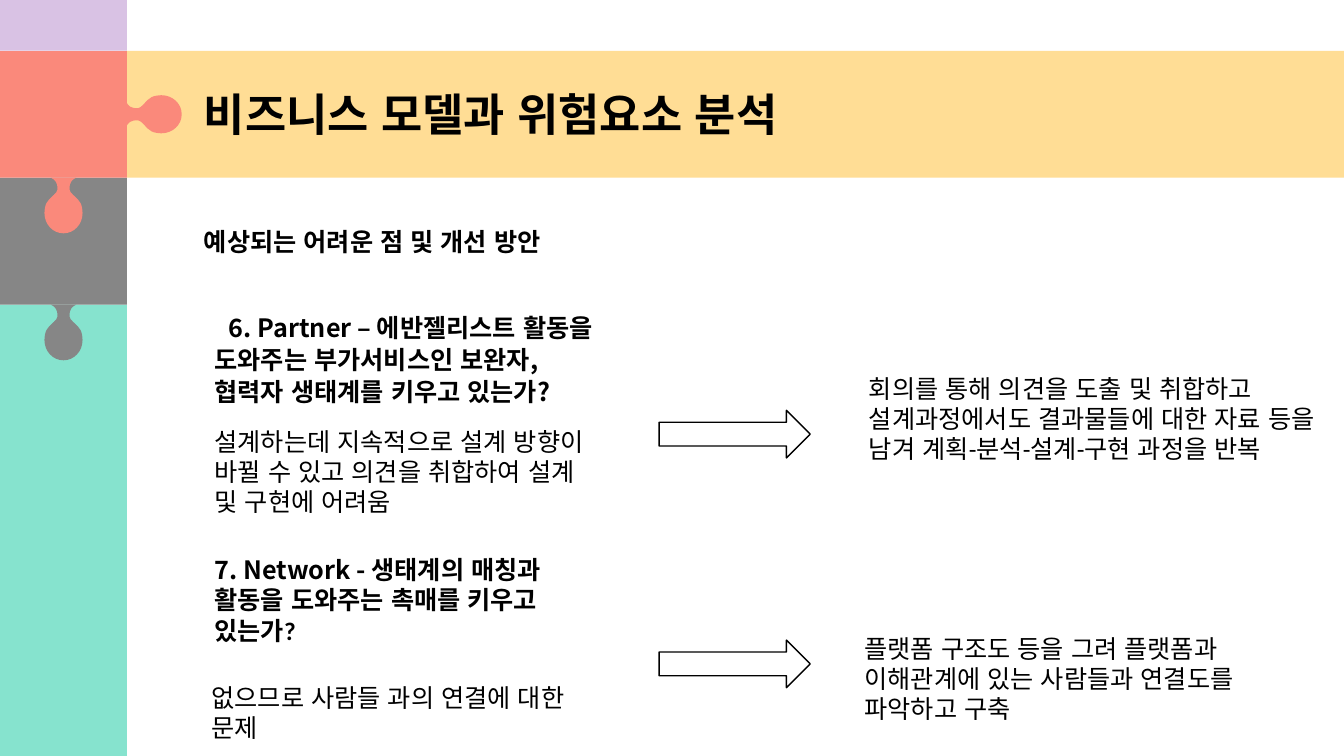
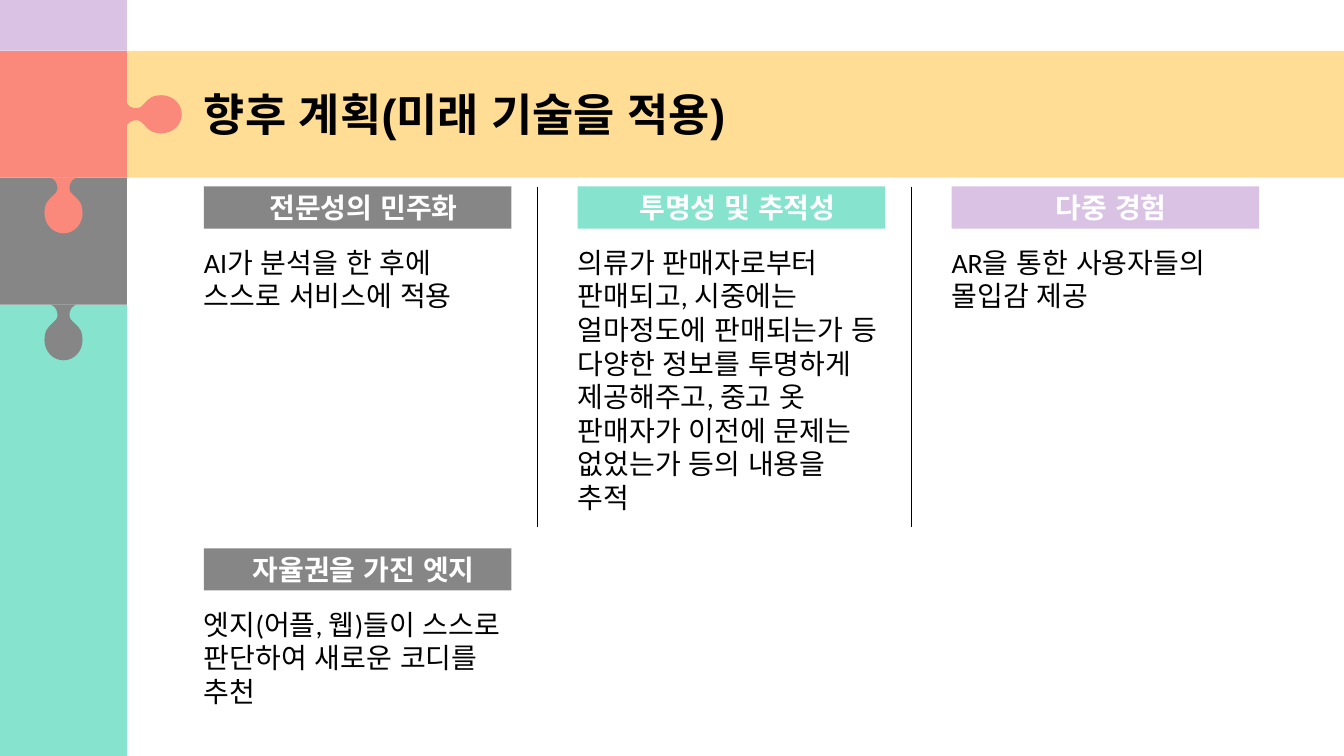
from lxml.etree import SubElement
from pptx import Presentation
from pptx.dml.color import RGBColor
from pptx.enum.lang import MSO_LANGUAGE_ID as Lang
from pptx.enum.shapes import MSO_CONNECTOR as Line, MSO_SHAPE as Kind
from pptx.enum.text import MSO_ANCHOR as Anchor, MSO_AUTO_SIZE as Fit, PP_ALIGN as Align
from pptx.oxml.ns import qn
from pptx.util import Cm, Pt

HUES = {"mint": "86E3CE", "gray": "868686", "sand": "FFDD95", "coral": "FA897B",
        "lilac": "D9C2E4", "white": "FFFFFF", "black": "000000"}
KOREAN = "Noto Sans CJK KR"
WIDE, TALL = 33.87, 19.05
SIDE = 3.2      # width of the side column and height of its blocks
TOP = 1.28      # top of the title band
LEFT = 5.14     # left edge of titles and columns


def paint(shape, hue):
    """Give a shape a flat fill with no line and no shadow."""
    shape.shadow.inherit = False
    shape.fill.solid()
    shape.fill.fore_color.rgb = RGBColor.from_string(HUES[hue])
    shape.line.fill.background()


def write(shape, words, size, face="Calibri", bold=False, hue="black", pad=None):
    """Fill a shape with one wrapped paragraph and return the paragraph."""
    frame = shape.text_frame
    frame.word_wrap = True
    frame.auto_size = Fit.SHAPE_TO_FIT_TEXT
    if pad:
        (frame.margin_left, frame.margin_top,
         frame.margin_right, frame.margin_bottom) = map(Cm, pad)
    para = frame.paragraphs[0]
    for part in words if isinstance(words, list) else [words]:
        run = para.add_run()
        run.text = part
        run.font.language_id = Lang.KOREAN
    font = para.font
    font.size, font.bold, font.name = Pt(size), bold, face
    font.color.rgb = RGBColor.from_string(HUES[hue])
    SubElement(font._element, qn("a:ea"), typeface=KOREAN)
    return para


# Puzzle knob pointing right: upper half as curves, lower half mirrored
REACH, HALF = 1.4, 0.48
START = (0, 0.32)
BENDS = [((0, 0.32), (0.05, 0.18), (0.18, 0.16)),
         ((0.28, 0.15), (0.33, 0.13), (0.43, 0.24)),
         ((0.53, 0.35), (0.58, 0.4), (0.64, 0.43)),
         ((0.69, 0.46), (0.81, 0.48), (0.89, 0.48)),
         ((1.17, 0.48), (1.4, 0.27), (1.4, 0))]
chain = [START] + [dot for bend in BENDS for dot in bend]
chain += [(u, -v) for u, v in chain[-2::-1]]

deck = Presentation()
deck.slide_width, deck.slide_height = Cm(WIDE), Cm(TALL)

# Shared frame: side column, title band, knobs and title
MID = SIDE / 2
BLOCKS = [("mint", 0, TOP + 2 * SIDE, SIDE, TALL - TOP - 2 * SIDE),
          ("gray", 0, TOP + SIDE, SIDE, SIDE),
          ("sand", SIDE, TOP, WIDE - SIDE, SIDE),
          ("coral", 0, TOP, SIDE, SIDE),
          ("lilac", 0, 0, SIDE, TOP)]
# Colour, centre and turn of each knob
KNOBS = [("gray", MID, TOP + 2 * SIDE + REACH / 2, 90),
         ("coral", SIDE - 0.02 + REACH / 2, TOP + MID, 0),
         ("coral", MID, TOP + SIDE + REACH / 2, 90)]
TITLES = ["비즈니스 모델과 위험요소 분석", "향후 계획(미래 기술을 적용)"]

pages = []
for title in TITLES:
    page = deck.slides.add_slide(deck.slide_layouts[6]).shapes
    for hue, *at in BLOCKS:
        paint(page.add_shape(Kind.RECTANGLE, *map(Cm, at)), hue)
    for hue, x, y, turn in KNOBS:
        dots = [(Cm(x - REACH / 2 + u), Cm(y + v)) for u, v in chain]
        pen = page.build_freeform(*dots[0])
        pen.add_line_segments(dots[3::3], close=True)
        knob = pen.convert_to_shape()
        paint(knob, hue)
        # Bend each straight segment into a cubic curve
        for n, seg in enumerate(list(knob._element.iter(qn("a:lnTo")))):
            seg.tag = qn("a:cubicBezTo")
            seg.remove(seg[0])
            for px, py in dots[3 * n + 1:3 * n + 4]:
                SubElement(seg, qn("a:pt"), x=str(px - knob.left), y=str(py - knob.top))
        knob.rotation = turn
    head = page.add_textbox(Cm(LEFT), Cm(2.17), Cm(WIDE - LEFT), Cm(1.37))
    write(head, title, 32, "Arial", True, pad=(0, 0, 0, 0))
    head.text_frame.vertical_anchor = Anchor.MIDDLE
    pages.append(page)
risk, plan = pages

# Slide 1: difficulties on the left, remedies on the right
lead = risk.add_textbox(Cm(LEFT), Cm(5.7), Cm(WIDE - LEFT), Cm(0.76))
write(lead, "예상되는 어려운 점 및 개선 방안", 18, "Arial", True, pad=(0, 0, 0, 0))

NOTES = [
    (5.16, 10.61, 10.24, 2.57, "설계하는데 지속적으로 설계 방향이 바뀔 수 있고 의견을 취합하여 설계 및 구현에 어려움"),
    (21.65, 9.27, 12.22, 3.33, "회의를 통해 의견을 도출 및 취합하고 설계과정에서도 결과물들에 대한 자료 등을 남겨 계획-분석-설계-구현 과정을 반복"),
    (5.08, 17.07, 10.46, 1.8, "없으므로 사람들 과의 연결에 대한 문제"),
    (21.54, 15.83, 12.22, 2.57, "플랫폼 구조도 등을 그려 플랫폼과 이해관계에 있는 사람들과 연결도를 파악하고 구축"),
]
for *at, words in NOTES:
    write(risk.add_textbox(*map(Cm, at)), words, 18)

ask = risk.add_textbox(Cm(5.16), Cm(7.68), Cm(10.24), Cm(2.67))
para = write(ask, "6. Partner – 에반젤리스트 활동을 도와주는 부가서비스인 보완자, 협력자 생태계를 키우고 있는가?",
             18, KOREAN, True)
para.line_spacing, para.space_after = 1.07, Pt(8)
para._p.get_or_add_pPr().set("indent", str(Cm(0.36)))

ask = risk.add_textbox(Cm(5.16), Cm(13.85), Cm(10.24), Cm(2.57))
para = write(ask, ["7. Network - ", "생태계의 매칭과 활동을 도와주는 촉매를 키우고 있는가?"], 18, bold=True)
para.runs[0].font.name = KOREAN

for y in (10.34, 16.13):
    arrow = risk.add_shape(Kind.RIGHT_ARROW, Cm(16.61), Cm(y), Cm(3.81), Cm(1.2))
    paint(arrow, "white")
    arrow.line.color.rgb = RGBColor.from_string(HUES["black"])
    arrow.line.width = Pt(1)

# Slide 2: headed columns
STEP, SPAN = 9.42, 7.75
ROWS = [4.7, 13.82]
CARDS = [
    (0, 0, "gray", 1.7, "전문성의 민주화", "AI가 분석을 한 후에 스스로 서비스에 적용"),
    (1, 0, "mint", 6.83, "투명성 및 추적성", "의류가 판매자로부터 판매되고, 시중에는 얼마정도에 판매되는가 등 다양한 정보를 투명하게 제공해주고, 중고 옷 판매자가 이전에 문제는 없었는가 등의 내용을 추적"),
    (2, 0, "lilac", 1.7, "다중 경험", "AR을 통한 사용자들의 몰입감 제공"),
    (0, 1, "gray", 2.57, "자율권을 가진 엣지", "엣지(어플, 웹)들이 스스로 판단하여 새로운 코디를 추천"),
]
for col, row, hue, high, name, words in CARDS:
    x, y = LEFT + col * STEP, ROWS[row]
    tab = plan.add_shape(Kind.RECTANGLE, Cm(x), Cm(y), Cm(SPAN), Cm(1.06))
    paint(tab, hue)
    write(tab, name, 20, "Arial", True, "white", (0.3, 0.1, 0, 0.1)).alignment = Align.CENTER
    body = plan.add_textbox(Cm(x), Cm(y + 1.48), Cm(SPAN - 0.05), Cm(high))
    write(body, words, 20, pad=(0, 0, 0, 0))

# Rules between the columns
for n in range(2):
    x = Cm(13.55 + n * STEP)
    rule = plan.add_connector(Line.STRAIGHT, x, Cm(ROWS[0]), x, Cm(13.28))
    rule.line.color.rgb = RGBColor.from_string(HUES["black"])
    rule.line.width = Pt(1)
    SubElement(rule._element.spPr, qn("a:effectLst"))

deck.save("out.pptx")
